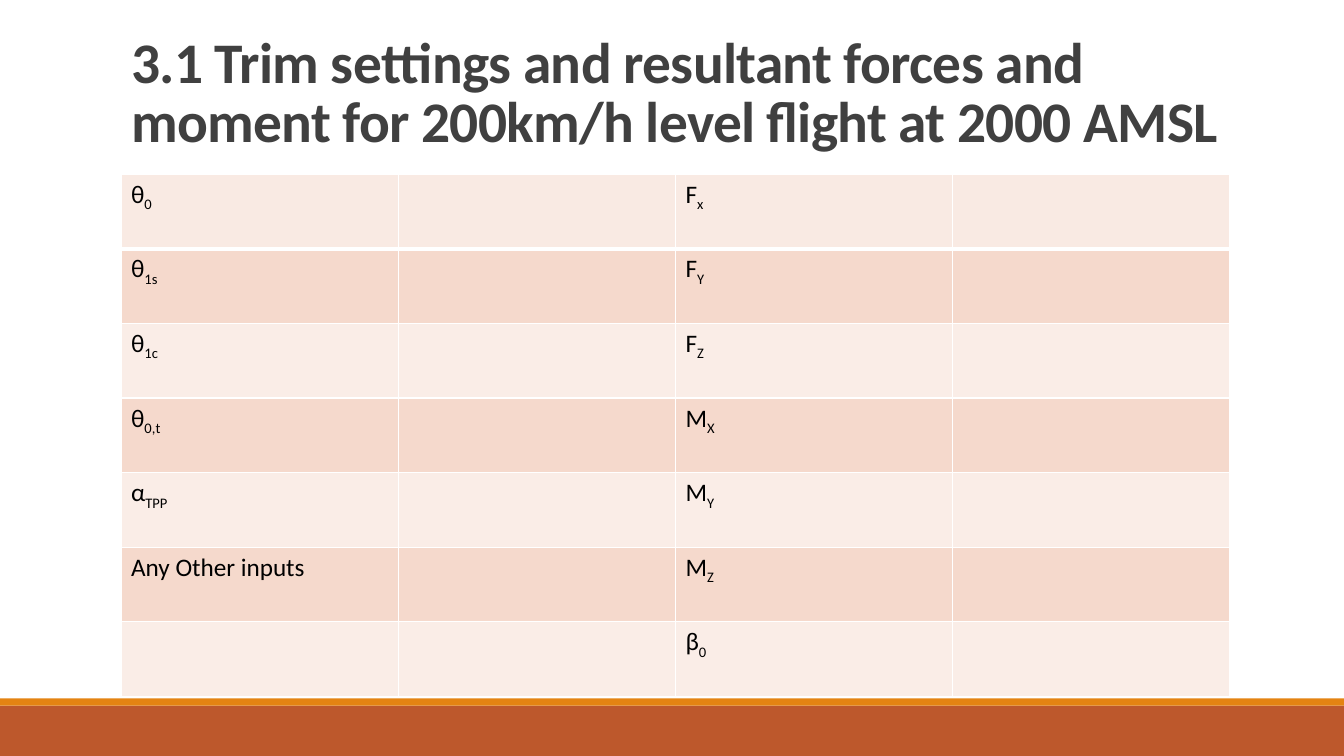
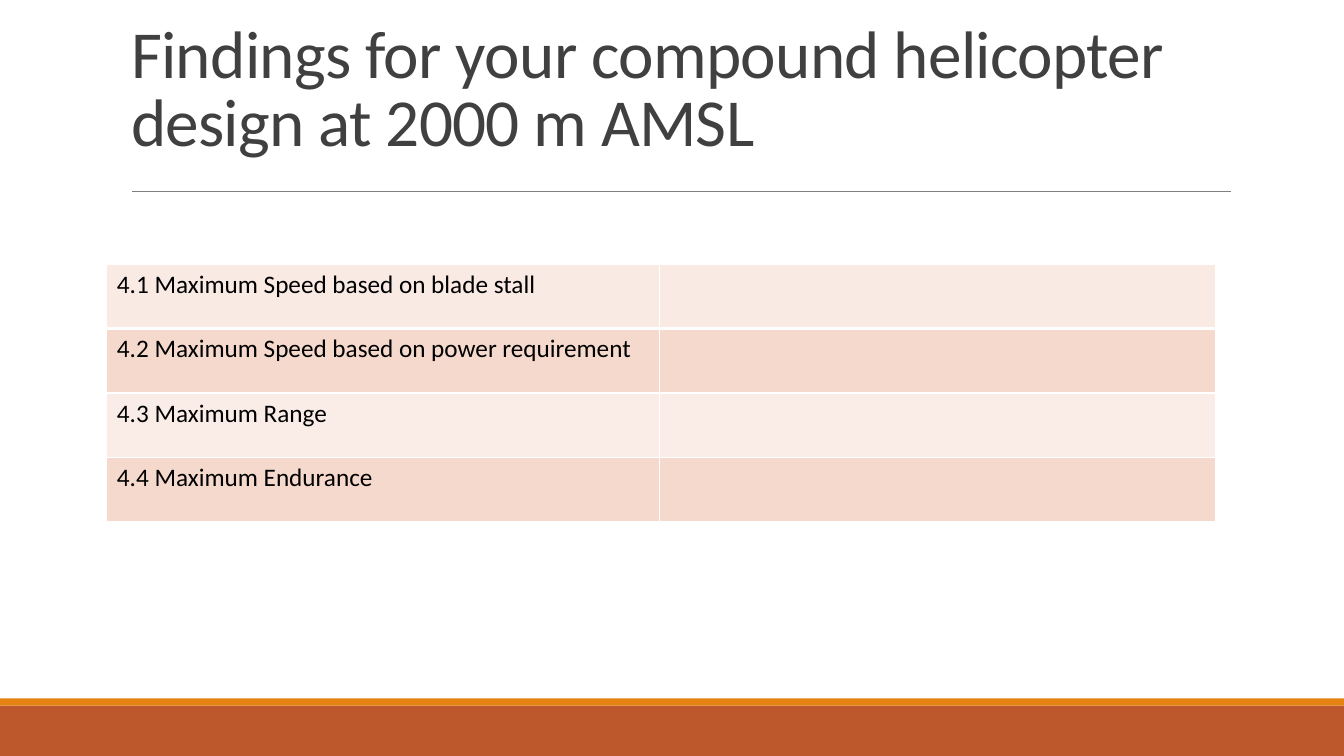
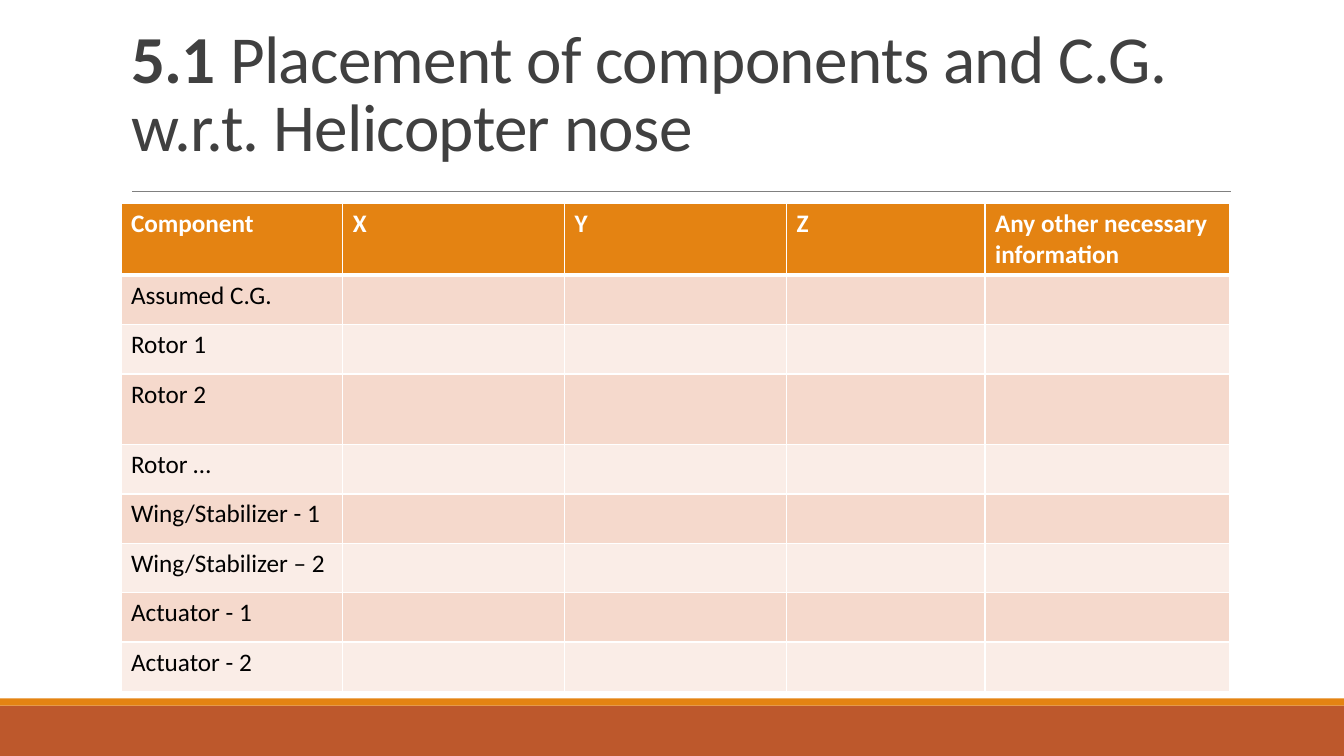
from lxml import etree
from pptx import Presentation
from pptx.dml.color import RGBColor
from pptx.enum.shapes import MSO_CONNECTOR, MSO_SHAPE
from pptx.enum.text import MSO_ANCHOR, MSO_AUTO_SIZE, PP_ALIGN
from pptx.oxml.ns import qn
from pptx.util import Inches, Pt

FONT = "Calibri"
RUST, ORANGE, RULE = "BD582C", "E48312", "808080"
TITLE_COLOR, BLACK, WHITE = "404040", "000000", "FFFFFF"
FIRST_ROW, DARK_BAND, LIGHT_BAND = "F9EAE3", "F5D9CC", "FAEDE7"

BANDS = [(7, 0.5, RUST), (6.93, 0.07, ORANGE)]

SLIDES = [
    {
        "title": [("3.1 Trim settings and resultant forces and moment "
                   "for 200km/h level flight at 2000 AMSL", True)],
        "title_box": (1.2, 0.31, 11, 1.27),
        "title_size": 41,
        "table_at": (1.2, 1.73),
        "columns": [2.75] * 4,
        "heights": [0.74] * 7,
        "header": False,
        "rows": [
            ["θ_0", "", "F_x", ""],
            ["θ_1s", "", "F_Y", ""],
            ["θ_1c", "", "F_Z", ""],
            ["θ_0,t", "", "M_X", ""],
            ["α_TPP", "", "M_Y", ""],
            ["Any Other inputs", "", "M_Z", ""],
            ["", "", "β_0", ""],
        ],
    },
    {
        "title": [("Findings for your compound helicopter design at 2000 m AMSL", False)],
        "title_box": (1.2, 0.05, 11, 1.59),
        "title_size": 48,
        "table_at": (1.06, 2.62),
        "columns": [5.48, 5.52],
        "heights": [0.64] * 4,
        "header": False,
        "rows": [
            ["4.1 Maximum Speed based on blade stall", ""],
            ["4.2 Maximum Speed based on power requirement", ""],
            ["4.3 Maximum Range", ""],
            ["4.4 Maximum Endurance", ""],
        ],
    },
    {
        "title": [("5.1", True),
                  (" Placement of components and C.G. w.r.t. Helicopter nose", False)],
        "title_box": (1.2, 0.31, 11, 1.38),
        "title_size": 48,
        "table_at": (1.2, 2.02),
        "columns": [2.2, 2.2, 2.2, 1.97, 2.43],
        "heights": [0.7, 0.49, 0.49, 0.7] + [0.49] * 5,
        "header": True,
        "rows": [["Component", "X", "Y", "Z", "Any other necessary information"]] + [
            [name, "", "", "", ""] for name in (
                "Assumed C.G.", "Rotor 1", "Rotor 2", "Rotor …",
                "Wing/Stabilizer - 1", "Wing/Stabilizer – 2",
                "Actuator - 1", "Actuator - 2")
        ],
    },
]


def color(value):
    return RGBColor.from_string(value)


def add_run(paragraph, text, size, run_color, bold=False):
    run = paragraph.add_run()
    run.text = text
    run.font.name = FONT
    run.font.size = Pt(size)
    run.font.bold = bold
    run.font.color.rgb = color(run_color)
    return run._r.get_or_add_rPr()


def decorate_layout(layout, slide):
    parts = []
    for top, height, fill in BANDS:
        band = slide.shapes.add_shape(MSO_SHAPE.RECTANGLE, 0, Inches(top),
                                      Inches(13.33), Inches(height))
        band.shadow.inherit = False
        band.fill.solid()
        band.fill.fore_color.rgb = color(fill)
        band.line.fill.background()
        parts.append(band)
    rule = slide.shapes.add_connector(MSO_CONNECTOR.STRAIGHT, Inches(1.31), Inches(1.9),
                                      Inches(12.21), Inches(1.9))
    rule.line.color.rgb = color(RULE)
    rule.line.width = Pt(0.5)
    etree.SubElement(rule.element.spPr, qn("a:effectLst"))
    parts.append(rule)
    for index, part in enumerate(parts, 2):
        layout.shapes.element.insert(index, part.element)


def write_title(slide, content):
    title = slide.shapes.title
    title.left, title.top, title.width, title.height = map(Inches, content["title_box"])
    frame = title.text_frame
    frame.word_wrap = True
    frame.auto_size = MSO_AUTO_SIZE.NONE
    frame.vertical_anchor = MSO_ANCHOR.BOTTOM
    paragraph = frame.paragraphs[0]
    paragraph.alignment = PP_ALIGN.LEFT
    paragraph.line_spacing = 0.85
    for text, bold in content["title"]:
        properties = add_run(paragraph, text, content["title_size"], TITLE_COLOR, bold)
        properties.set("spc", "-50")


def set_borders(cell, row_index):
    widths = {"L": 1, "R": 1,
              "T": 3 if row_index == 1 else 1,
              "B": 3 if row_index == 0 else 1}
    properties = cell._tc.get_or_add_tcPr()
    for index, (side, width) in enumerate(widths.items()):
        line = etree.Element(qn(f"a:ln{side}"), w=str(Pt(width)))
        fill = etree.SubElement(line, qn("a:solidFill"))
        etree.SubElement(fill, qn("a:srgbClr"), val=WHITE)
        properties.insert(index, line)


def row_fill(row_index, header):
    if row_index == 0:
        return ORANGE if header else FIRST_ROW
    return DARK_BAND if row_index % 2 else LIGHT_BAND


def add_grid(slide, content):
    rows, columns, heights = content["rows"], content["columns"], content["heights"]
    left, top = content["table_at"]
    table = slide.shapes.add_table(len(rows), len(columns), Inches(left), Inches(top),
                                   Inches(sum(columns)), Inches(sum(heights))).table
    table.first_row = content["header"]
    table.horz_banding = False
    for column, width in zip(table.columns, columns):
        column.width = Inches(width)
    for row_index, texts in enumerate(rows):
        table.rows[row_index].height = Inches(heights[row_index])
        is_header = content["header"] and row_index == 0
        for column_index, text in enumerate(texts):
            cell = table.cell(row_index, column_index)
            cell.fill.solid()
            cell.fill.fore_color.rgb = color(row_fill(row_index, content["header"]))
            set_borders(cell, row_index)
            base, _, subscript = text.partition("_")
            paragraph = cell.text_frame.paragraphs[0]
            text_color = WHITE if is_header else BLACK
            if base:
                add_run(paragraph, base, 18, text_color, is_header)
            if subscript:
                add_run(paragraph, subscript, 18, text_color).set("baseline", "-25000")


def main():
    presentation = Presentation()
    presentation.slide_width = Inches(13.33)
    presentation.slide_height = Inches(7.5)
    layout = presentation.slide_layouts[5]
    for index, content in enumerate(SLIDES):
        slide = presentation.slides.add_slide(layout)
        if index == 0:
            decorate_layout(layout, slide)
        write_title(slide, content)
        add_grid(slide, content)
    presentation.save("out.pptx")


if __name__ == "__main__":
    main()
